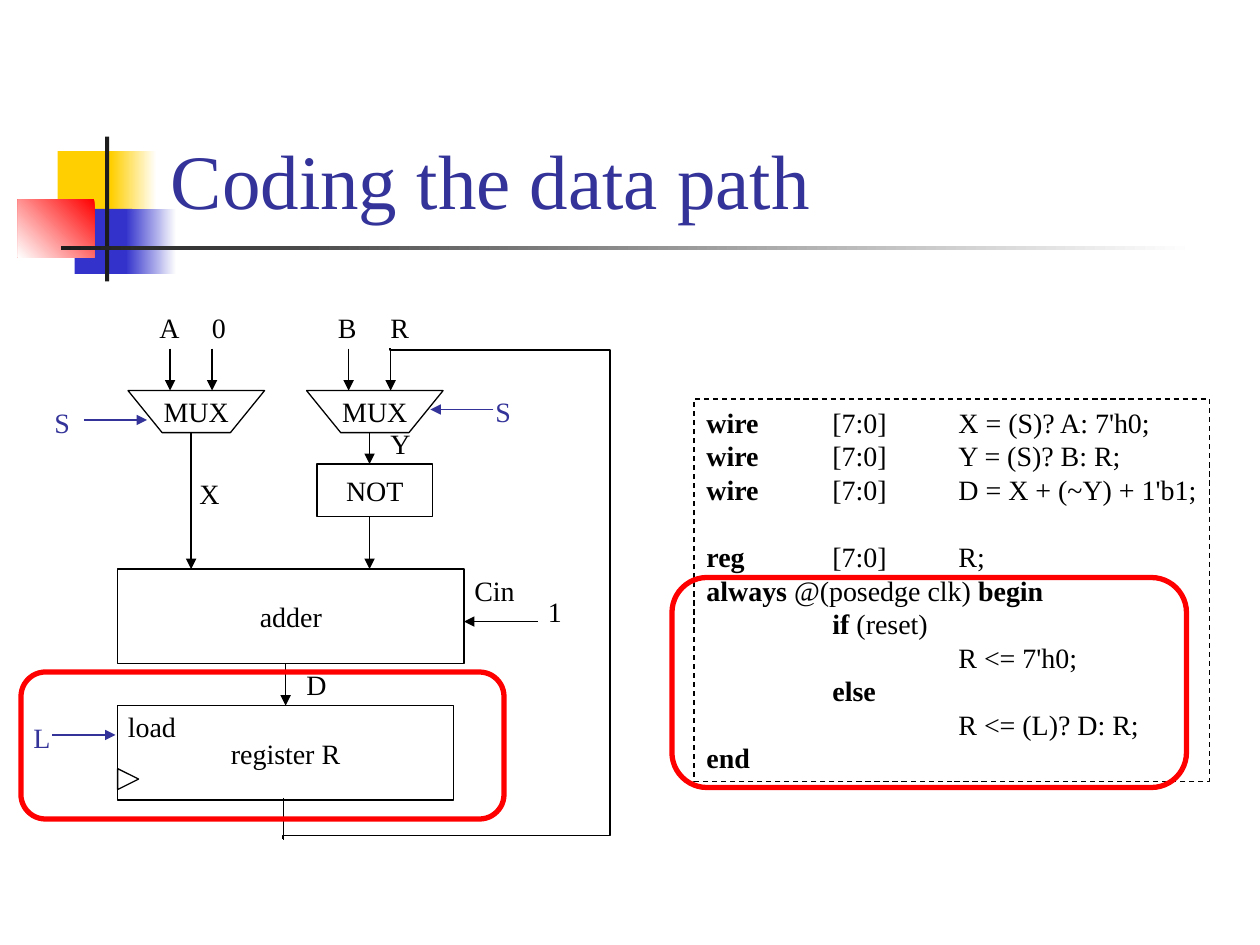
from dataclasses import dataclass
from typing import NamedTuple, Optional

from lxml import etree
from pptx import Presentation
from pptx.dml.color import RGBColor
from pptx.enum.dml import MSO_LINE
from pptx.enum.shapes import MSO_CONNECTOR, MSO_SHAPE
from pptx.enum.text import MSO_ANCHOR, MSO_AUTO_SIZE, PP_ALIGN
from pptx.oxml.ns import qn
from pptx.util import Inches, Pt

RECT, ROUNDED, TRIANGLE = MSO_SHAPE.RECTANGLE, MSO_SHAPE.ROUNDED_RECTANGLE, MSO_SHAPE.ISOSCELES_TRIANGLE
STRAIGHT, ELBOW = MSO_CONNECTOR.STRAIGHT, MSO_CONNECTOR.ELBOW
TOP, MIDDLE, BOTTOM = MSO_ANCHOR.TOP, MSO_ANCHOR.MIDDLE, MSO_ANCHOR.BOTTOM
LEFT, CENTER = PP_ALIGN.LEFT, PP_ALIGN.CENTER
GROW, FIXED = MSO_AUTO_SIZE.SHAPE_TO_FIT_TEXT, MSO_AUTO_SIZE.NONE
DASH = MSO_LINE.DASH


@dataclass(frozen=True)
class Theme:
    font: str = "Times New Roman"
    title: float = 44
    body: float = 16
    code_gap: float = 19.2
    thin: float = 0.75
    thick: float = 3
    ink: str = "000000"
    control: str = "333399"
    highlight: str = "FF0000"
    yellow: str = "FFCF01"
    blue: str = "3333CC"
    dark: str = "1C1C1C"
    white: str = "FFFFFF"


THEME = Theme()


# All lengths are cells of a grid of 120 columns by 90 rows, 12 to the inch
class Box(NamedTuple):
    x: float
    y: float
    w: float
    h: float


class Ornament(NamedTuple):
    box: Box
    color: str
    fade_to: Optional[str] = None
    angle: float = 180


class Label(NamedTuple):
    text: str
    x: float
    y: float
    w: float = 4.4
    color: str = THEME.ink


class Wire(NamedTuple):
    x1: float
    y1: float
    x2: float
    y2: float
    color: str = THEME.ink
    arrow: bool = True


class Mux(NamedTuple):
    x: float
    inputs: tuple
    output_end: float


def cells(count: float) -> int:
    return Inches(count / 12)


def write(shape, text, *, size=THEME.body, color=THEME.ink, align=LEFT, anchor=TOP,
          wrap=False, fit=FIXED, tabs=0):
    """Write lines of text; asterisks enclose bold parts, a leading ^ leaves a gap above."""
    frame = shape.text_frame
    frame.word_wrap, frame.auto_size, frame.vertical_anchor = wrap, fit, anchor
    for index, line in enumerate(text.split("\n")):
        paragraph = frame.paragraphs[0] if index == 0 else frame.add_paragraph()
        if tabs:
            stops = etree.SubElement(paragraph._p.get_or_add_pPr(), qn("a:tabLst"))
            for inch in range(1, tabs + 1):
                etree.SubElement(stops, qn("a:tab"), pos=str(Inches(inch)), algn="l")
        paragraph.alignment = align
        if line.startswith("^"):
            paragraph.space_before = Pt(THEME.code_gap)
        for part, words in enumerate(line.lstrip("^").split("*")):
            if words:
                run = paragraph.add_run()
                run.text = words
                run.font.name, run.font.size = THEME.font, Pt(size)
                run.font.color.rgb = RGBColor.from_string(color)
                run.font.bold = part % 2 == 1


def outline(shape, color=THEME.ink, width=THEME.thin):
    shape.shadow.inherit = False
    shape.fill.background()
    shape.line.color.rgb = RGBColor.from_string(color)
    shape.line.width = Pt(width)
    return shape


def add_box(slide, box: Box, kind=RECT, **line):
    return outline(slide.shapes.add_shape(kind, *map(cells, box)), **line)


def add_text(slide, box: Box, text: str, **style):
    write(slide.shapes.add_textbox(*map(cells, box)), text, **style)


def add_label(slide, label: Label):
    add_text(slide, Box(label.x, label.y, label.w, 4.4), label.text, color=label.color)


def add_wire(slide, wire: Wire, kind=STRAIGHT):
    line = slide.shapes.add_connector(kind, *map(cells, wire[:4]))
    line.line.color.rgb = RGBColor.from_string(wire.color)
    line.line.width = Pt(THEME.thin)
    if wire.arrow:
        etree.SubElement(line.line._get_or_add_ln(), qn("a:tailEnd"), type="triangle")
    etree.SubElement(line._element.spPr, qn("a:effectLst"))
    return line


def add_feedback(slide, box: Box, bends: tuple):
    """Five-part elbow, laid flat in its box and then turned a quarter."""
    line = add_wire(slide, Wire(box.x, box.y, box.x + box.w, box.y + box.h, arrow=False), ELBOW)
    properties = line._element.spPr
    properties.find(qn("a:xfrm")).set("rot", str(90 * 60000))
    geometry = properties.find(qn("a:prstGeom"))
    geometry.set("prst", "bentConnector5")
    for old in geometry.findall(qn("a:avLst")):
        geometry.remove(old)
    guides = etree.SubElement(geometry, qn("a:avLst"))
    for number, bend in enumerate(bends, 1):
        etree.SubElement(guides, qn("a:gd"), name=f"adj{number}", fmla=f"val {round(bend * 100000)}")


def add_ornament(slide, ornament: Ornament):
    shape = slide.shapes.add_shape(RECT, *map(cells, ornament.box))
    shape.shadow.inherit = False
    shape.line.fill.background()
    if ornament.fade_to is None:
        shape.fill.solid()
        shape.fill.fore_color.rgb = RGBColor.from_string(ornament.color)
        return
    shape.fill.gradient()
    shape.fill.gradient_angle = ornament.angle
    for stop, color in zip(shape.fill.gradient_stops, (ornament.color, ornament.fade_to)):
        stop.color.rgb = RGBColor.from_string(color)


def add_mux(slide, mux: Mux, top=37.2, width=13, height=4, slant=3.25):
    x, bottom = mux.x, top + height
    builder = slide.shapes.build_freeform(cells(x), cells(top))
    builder.add_line_segments([(cells(x + dx), cells(y)) for dx, y in (
        (width, top), (width - slant, bottom), (slant, bottom))], close=True)
    write(outline(builder.convert_to_shape()), "MUX", align=CENTER, anchor=MIDDLE)
    for offset, (name, name_width) in zip((4, 8), mux.inputs):
        add_wire(slide, Wire(x + offset, top - 4, x + offset, top))
        add_label(slide, Label(name, x + 1.8 + (offset - 4) * 1.25, 29, name_width))
    add_wire(slide, Wire(x + 6, bottom, x + 6, mux.output_end))


T = THEME
ORNAMENTS = (
    Ornament(Box(5.5, 14.4, 5.8, 6.2), T.yellow),
    Ornament(Box(10.6, 14.4, 4.3, 6.2), T.white, T.yellow),
    Ornament(Box(7.1, 19.9, 5.5, 6.2), T.blue),
    Ornament(Box(12, 19.9, 4.8, 6.2), T.white, T.blue),
    Ornament(Box(1.7, 19, 7.3, 5.5), T.highlight, T.white, 225),
    Ornament(Box(10, 13, 0.4, 13.8), T.dark),
    Ornament(Box(5.8, 23.4, 108, 0.4), T.white, T.dark),
)
MUXES = (Mux(12.2, (("A", 4.4), ("0", 3.8)), 54.2), Mux(29.2, (("B", 4.3), ("R", 4.3)), 44.2))
BLOCKS = {"NOT": Box(30.2, 44.2, 11, 5), "adder": Box(11.2, 54.2, 33, 9),
          "register R": Box(11.2, 67.2, 32, 9)}
WIRES = (
    Wire(35.2, 49.2, 35.2, 54.2), Wire(51.2, 59.2, 44.2, 59.2), Wire(27.2, 63.2, 27.2, 67.2),
    Wire(27, 76, 27, 80, arrow=False), Wire(5, 70, 11, 70, T.control),
    Wire(8, 40, 14, 40, T.control), Wire(47, 39, 41, 39, T.control),
)
LABELS = (
    Label("Cin", 44, 54, 6.6), Label("1", 51, 56, 3.8), Label("load", 11, 67, 7.3),
    Label("L", 2, 68, 4.1, T.control), Label("S", 4, 38, 4, T.control),
    Label("S", 46, 37, 4, T.control), Label("X", 17.8, 44.8), Label("Y", 36, 40),
    Label("D", 28, 63),
)
CODE = """*wire*\t[7:0]\tX = (S)? A: 7'h0;
*wire*\t[7:0]\tY = (S)? B: R;
*wire*\t[7:0]\tD = X + (~Y) + 1'b1;
^*reg*\t[7:0]\tR;
*always* @(posedge clk) *begin*
\t*if* (reset)
\t\tR <= 7'h0;
\t*else*
\t\tR <= (L)? D: R;
*end*"""
HIGHLIGHTS = (Box(2, 64, 46, 14), Box(64, 55, 49, 20))


def main():
    deck = Presentation()
    deck.slide_width, deck.slide_height = cells(120), cells(90)
    slide = deck.slides.add_slide(deck.slide_layouts[6])

    # Ornament and title
    for ornament in ORNAMENTS:
        add_ornament(slide, ornament)
    add_text(slide, Box(15.1, 2.8, 102.2, 19.2), "Coding the data path",
             size=T.title, color=T.control, anchor=BOTTOM, wrap=True)

    # Data path
    for mux in MUXES:
        add_mux(slide, mux)
    for name, box in BLOCKS.items():
        write(add_box(slide, box), name, align=CENTER, anchor=MIDDLE)
    add_box(slide, Box(11.2, 73.2, 2, 2), TRIANGLE).rotation = 90
    for wire in WIRES:
        add_wire(slide, wire)
    add_feedback(slide, Box(8.65, 51.45, 46.8, 10.2), (0.004, -2.055, 0.992))
    for label in LABELS:
        add_label(slide, label)

    # Code
    listing = add_box(slide, Box(66.1, 38, 49.1, 36.4))
    listing.line.dash_style = DASH
    write(listing, CODE, fit=GROW, tabs=7)

    # Highlights
    for box in HIGHLIGHTS:
        add_box(slide, box, ROUNDED, color=T.highlight, width=T.thick)

    deck.save("out.pptx")


if __name__ == "__main__":
    main()
